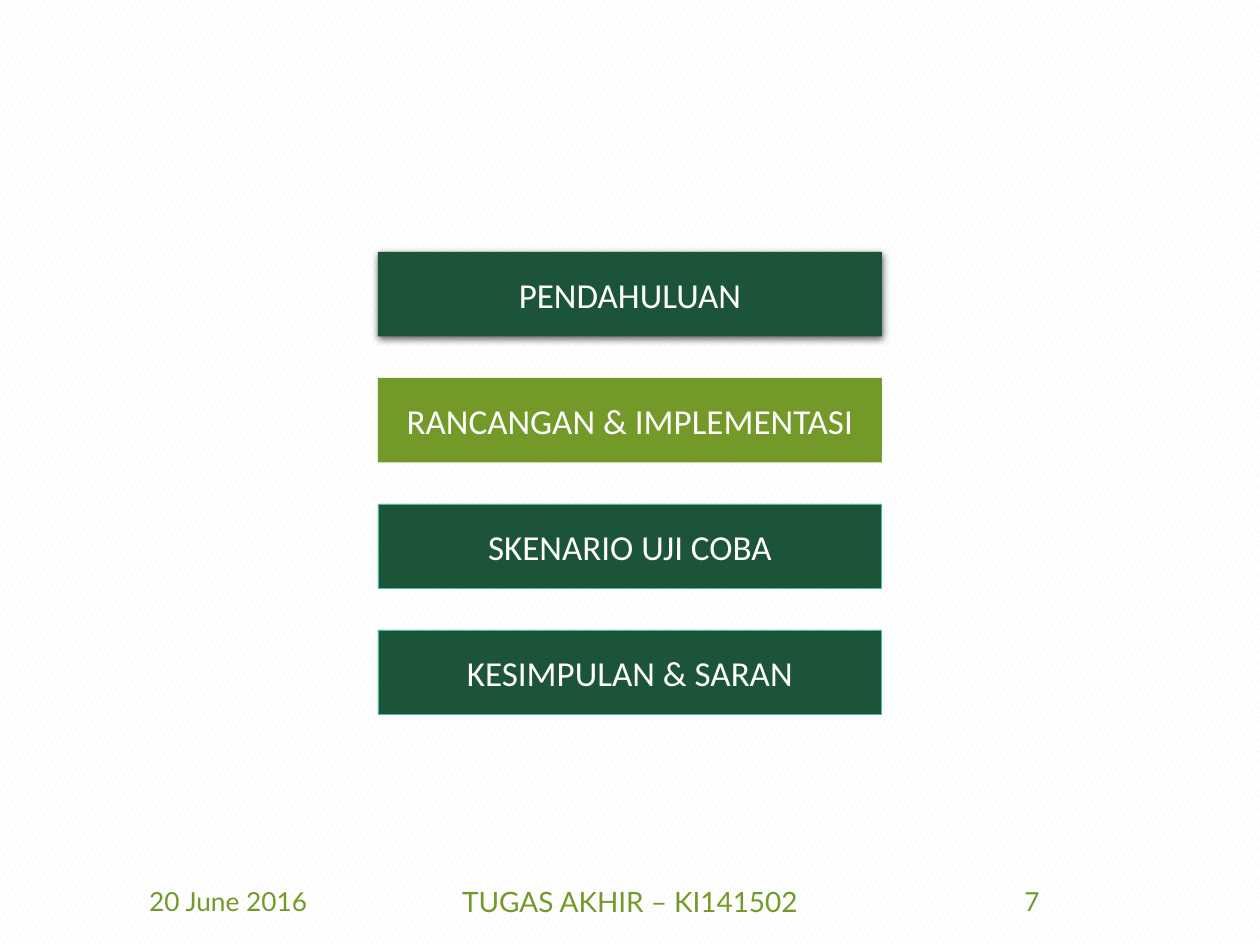
from pptx import Presentation
from pptx.dml.color import RGBColor
from pptx.enum.dml import MSO_PATTERN
from pptx.enum.shapes import MSO_SHAPE
from pptx.enum.text import MSO_ANCHOR, PP_ALIGN
from pptx.oxml import parse_xml
from pptx.oxml.ns import nsdecls, qn
from pptx.util import Inches, Pt

WHITE = RGBColor(0xFF, 0xFF, 0xFF)
PALE_GREY = RGBColor(0xF2, 0xF2, 0xF2)
DARK_GREEN = RGBColor(0x1C, 0x54, 0x38)
LIME = RGBColor(0x73, 0x9A, 0x28)
TEAL = RGBColor(0x44, 0xC1, 0xA3)

SLIDE_WIDTH, SLIDE_HEIGHT = Inches(10), Inches(7.5)
AGENDA_BOX = (Inches(3), Inches(2), Inches(4), Inches(3.67))
FOOTER_BOX = (Inches(0.69), Inches(6.95), Inches(8.62), Inches(0.4))

# label, fill, outline, raised by a shadow
AGENDA = [
    ("PENDAHULUAN", DARK_GREEN, None, True),
    ("RANCANGAN & IMPLEMENTASI", LIME, None, False),
    ("SKENARIO UJI COBA", DARK_GREEN, TEAL, False),
    ("KESIMPULAN & SARAN", DARK_GREEN, TEAL, False),
]
BAR_HEIGHT = Inches(0.67)

# text, left and width as shares of the footer, size
FOOTER = [
    ("20 June 2016", 0, 0.26, 15),
    ("TUGAS AKHIR – KI141502", 0.304, 0.392, 16),
    ("7", 0.74, 0.26, 15),
]


def write_centred(shape, text, wrap, **font_format):
    frame = shape.text_frame
    frame.word_wrap = wrap
    frame.vertical_anchor = MSO_ANCHOR.MIDDLE
    paragraph = frame.paragraphs[0]
    paragraph.alignment = PP_ALIGN.CENTER
    run = paragraph.add_run()
    run.text = text
    color = font_format.pop("color")
    for name, value in font_format.items():
        setattr(run.font, name, value)
    run.font.color.rgb = color


def add_drop_shadow(shape):
    effects = shape._element.spPr.find(qn("a:effectLst"))
    effects.append(parse_xml(
        f'<a:outerShdw {nsdecls("a")} blurRad="{Pt(4.5)}" dist="{Pt(1.5)}" '
        'dir="5400000" algn="ctr" rotWithShape="0"><a:srgbClr val="000000">'
        '<a:alpha val="63000"/></a:srgbClr></a:outerShdw>'))


def add_agenda(slide, left, top, width, height):
    """Stack the bars at an equal pitch that fills the box."""
    pitch = (height - BAR_HEIGHT) // (len(AGENDA) - 1)
    for row, (label, fill, outline, raised) in enumerate(AGENDA):
        bar = slide.shapes.add_shape(
            MSO_SHAPE.RECTANGLE, left, top + row * pitch, width, BAR_HEIGHT)
        bar.shadow.inherit = False
        bar.fill.solid()
        bar.fill.fore_color.rgb = fill
        if outline is None:
            bar.line.fill.background()
        else:
            bar.line.color.rgb = outline
            bar.line.width = Pt(0.5)
        if raised:
            add_drop_shadow(bar)
        write_centred(bar, label, False, name="Calibri", size=Pt(20), color=WHITE)


def add_footer(slide, left, top, width, height):
    for text, offset, share, size in FOOTER:
        box = slide.shapes.add_textbox(
            left + int(width * offset), top, int(width * share), height)
        write_centred(box, text, True, name="Lato", size=Pt(size), color=LIME)


def set_background(slide):
    fill = slide.background.fill
    fill.patterned()
    fill.pattern = MSO_PATTERN.LARGE_CONFETTI
    fill.fore_color.rgb = PALE_GREY
    fill.back_color.rgb = WHITE


def main():
    presentation = Presentation()
    presentation.slide_width = SLIDE_WIDTH
    presentation.slide_height = SLIDE_HEIGHT
    slide = presentation.slides.add_slide(presentation.slide_layouts[6])
    set_background(slide)
    add_footer(slide, *FOOTER_BOX)
    add_agenda(slide, *AGENDA_BOX)
    presentation.save("out.pptx")


if __name__ == "__main__":
    main()
